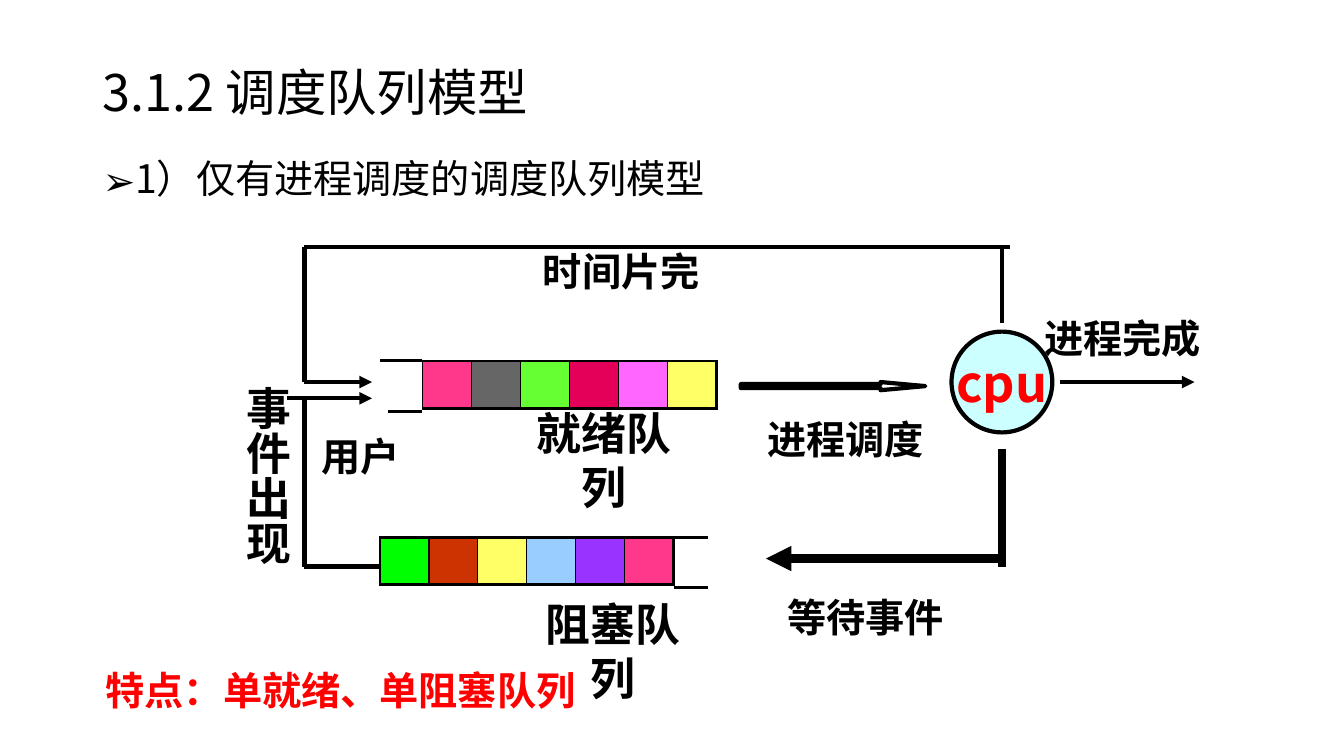
from dataclasses import dataclass

from lxml.etree import SubElement
from pptx import Presentation
from pptx.dml.color import RGBColor
from pptx.enum.shapes import MSO_CONNECTOR, MSO_SHAPE
from pptx.enum.text import MSO_ANCHOR, PP_ALIGN
from pptx.oxml.ns import qn
from pptx.shapes.autoshape import Shape
from pptx.slide import Slide
from pptx.table import _Cell as Cell
from pptx.text.text import TextFrame
from pptx.util import Pt

FONT = "Noto Sans CJK SC"
BLACK = RGBColor(0x00, 0x00, 0x00)
WHITE = RGBColor(0xFF, 0xFF, 0xFF)
RED = RGBColor(0xFF, 0x00, 0x00)
PALE_CYAN = RGBColor(0xCC, 0xFF, 0xFF)
PINK = RGBColor(0xFF, 0x38, 0x8C)
GREY = RGBColor(0x66, 0x66, 0x66)
LIME = RGBColor(0x66, 0xFF, 0x33)
CRIMSON = RGBColor(0xE4, 0x00, 0x59)
ORCHID = RGBColor(0xFF, 0x66, 0xFF)
YELLOW = RGBColor(0xFF, 0xFF, 0x66)
GREEN = RGBColor(0x00, 0xFF, 0x00)
RUST = RGBColor(0xCC, 0x33, 0x00)
SKY = RGBColor(0x99, 0xCC, 0xFF)
VIOLET = RGBColor(0x99, 0x33, 0xFF)

SLOT_WIDTH, SLOT_HEIGHT = 35, 33.8
RAIL_GAP = 36
CPU_X, CPU_Y = 715.7, 272.9
LOOP_X, LOOP_TOP = 217.5, 176.5
ENTRY_X, EVENT_Y = 265.7, 284.5
BLOCKED_Y, WAIT_Y = 404.7, 399


@dataclass(frozen=True)
class Label:
    text: str
    left: float
    top: float
    width: float
    height: float
    size: float = 28
    color: RGBColor = BLACK
    bold: bool = True
    align: PP_ALIGN = PP_ALIGN.CENTER
    anchor: MSO_ANCHOR = MSO_ANCHOR.TOP
    wrap: bool = False
    vertical: bool = False
    bullet: str = ""
    spacing: float = 1.0


@dataclass(frozen=True)
class Link:
    x1: float
    y1: float
    x2: float
    y2: float
    weight: float = 3
    arrow: bool = False


@dataclass(frozen=True)
class Queue:
    left: float
    top: float
    slots: tuple[RGBColor, ...]
    open_x: float
    upper_end: float
    lower_end: float


LABELS = [
    Label("3.1.2 调度队列模型", 66.2, 32.4, 828, 71.3, 36, bold=False,
          align=PP_ALIGN.LEFT, anchor=MSO_ANCHOR.MIDDLE, wrap=True, spacing=0.9),
    Label("1）仅有进程调度的调度队列模型", 66.2, 90, 828, 70, bold=False,
          align=PP_ALIGN.LEFT, wrap=True, bullet="➢", spacing=1.5),
    Label("就绪队列", 367.6, 290, 128, 39, 32, wrap=True),
    Label("阻塞队列", 374, 426.2, 128, 39, 32, wrap=True),
    Label("进程调度", 547.7, 296.6, 112.3, 33.8),
    Label("等待事件", 545, 424.1, 146.2, 33.8, wrap=True),
    Label("时间片完", 381.4, 176.4, 124.6, 33.8, wrap=True),
    Label("进程完成", 745.7, 224.6, 112.3, 33.8),
    Label("用户", 229.7, 308.9, 56.2, 33.8),
    Label("事件出现", 171.4, 275.8, 38.9, 131, 32, wrap=True, vertical=True),
    Label("特点：单就绪、单阻塞队列", 68.4, 472.3, 360, 41, color=RED,
          align=PP_ALIGN.LEFT),
]

QUEUES = [
    Queue(301.7, 257.8, (PINK, GREY, LIME, CRIMSON, ORCHID, YELLOW), 301.7, 271.4, 277.2),
    Queue(271.4, 383.8, (GREEN, RUST, YELLOW, SKY, VIOLET, PINK), 481.7, 505.5, 505.5),
]

LINKS = [
    Link(CPU_X, 320.4, CPU_X, BLOCKED_Y, 6),
    Link(CPU_X, WAIT_Y, 547.2, WAIT_Y, 6, True),
    Link(CPU_X, 230.4, CPU_X, LOOP_TOP),
    Link(721.5, LOOP_TOP, LOOP_X, LOOP_TOP),
    Link(LOOP_X, LOOP_TOP, LOOP_X, CPU_Y),
    Link(LOOP_X, CPU_Y, ENTRY_X, CPU_Y, arrow=True),
    Link(205.2, EVENT_Y, ENTRY_X, EVENT_Y, arrow=True),
    Link(271.4, BLOCKED_Y, LOOP_X, BLOCKED_Y),
    Link(LOOP_X, EVENT_Y, LOOP_X, BLOCKED_Y),
    Link(757.5, CPU_Y, 853.2, CPU_Y, arrow=True),
]


def write_text(frame: TextFrame, label: Label) -> None:
    frame.word_wrap = label.wrap
    frame.vertical_anchor = label.anchor
    paragraph = frame.paragraphs[0]
    paragraph.text = label.text
    paragraph.alignment = label.align
    paragraph.line_spacing = label.spacing
    if label.bullet:
        properties = paragraph._p.get_or_add_pPr()
        properties.set("marL", str(Pt(18)))
        properties.set("indent", str(Pt(-18)))
        SubElement(properties, qn("a:buFont"), typeface=FONT)
        SubElement(properties, qn("a:buChar"), char=label.bullet)
    for run in paragraph.runs:
        run.font.size = Pt(label.size)
        run.font.bold = label.bold
        run.font.color.rgb = label.color
        run.font.name = FONT
        SubElement(run.font._element, qn("a:ea"), typeface=FONT)


def clear_margins(holder: TextFrame | Cell) -> None:
    holder.margin_left = holder.margin_right = 0
    holder.margin_top = holder.margin_bottom = 0


def add_label(slide: Slide, label: Label) -> None:
    box = slide.shapes.add_textbox(
        Pt(label.left), Pt(label.top), Pt(label.width), Pt(label.height))
    if label.align == PP_ALIGN.CENTER:
        clear_margins(box.text_frame)
    write_text(box.text_frame, label)
    if label.vertical:
        box.element.txBody.bodyPr.set("vert", "eaVert")


def add_link(slide: Slide, link: Link) -> None:
    line = slide.shapes.add_connector(
        MSO_CONNECTOR.STRAIGHT, Pt(link.x1), Pt(link.y1), Pt(link.x2), Pt(link.y2))
    line.line.color.rgb = BLACK
    line.line.width = Pt(link.weight)
    if link.arrow:
        SubElement(line.line._get_or_add_ln(), qn("a:tailEnd"), type="triangle")
    SubElement(line.element.spPr, qn("a:effectLst"))


def style_slot(cell: Cell, color: RGBColor, is_last: bool) -> None:
    clear_margins(cell)
    properties = cell._tc.get_or_add_tcPr()
    weights = {"a:lnL": 1, "a:lnR": 2.25 if is_last else 1, "a:lnT": 2.25, "a:lnB": 2.25}
    for side, weight in weights.items():
        border = SubElement(properties, qn(side), w=str(Pt(weight)))
        SubElement(SubElement(border, qn("a:solidFill")), qn("a:srgbClr"), val=str(BLACK))
    cell.fill.solid()
    cell.fill.fore_color.rgb = color


def add_queue(slide: Slide, queue: Queue) -> None:
    count = len(queue.slots)
    table = slide.shapes.add_table(
        1, count, Pt(queue.left), Pt(queue.top),
        Pt(SLOT_WIDTH * count), Pt(SLOT_HEIGHT)).table
    table.first_row = table.horz_banding = False
    for index, color in enumerate(queue.slots):
        table.columns[index].width = Pt(SLOT_WIDTH)
        style_slot(table.cell(0, index), color, index == count - 1)
    lower = queue.top + RAIL_GAP
    add_link(slide, Link(queue.open_x, queue.top, queue.upper_end, queue.top, 2))
    add_link(slide, Link(queue.open_x, lower, queue.lower_end, lower, 2))


def add_outlined(slide: Slide, kind: MSO_SHAPE, left: float, top: float,
                 width: float, height: float, fill: RGBColor) -> Shape:
    shape = slide.shapes.add_shape(kind, Pt(left), Pt(top), Pt(width), Pt(height))
    shape.shadow.inherit = False
    shape.fill.solid()
    shape.fill.fore_color.rgb = fill
    shape.line.color.rgb = BLACK
    shape.line.width = Pt(3)
    return shape


def main() -> None:
    deck = Presentation()
    deck.slide_width, deck.slide_height = Pt(960), Pt(540)
    slide = deck.slides.add_slide(deck.slide_layouts[6])
    for queue in QUEUES:
        add_queue(slide, queue)
    cpu = add_outlined(slide, MSO_SHAPE.OVAL, 679.7, 236.9, 72, 72, PALE_CYAN)
    clear_margins(cpu.text_frame)
    write_text(cpu.text_frame, Label("cpu", 0, 0, 0, 0, 36, RED, anchor=MSO_ANCHOR.MIDDLE))
    dispatch = add_outlined(slide, MSO_SHAPE.RIGHT_ARROW, 529.2, 272.9, 131.8, 5.8, WHITE)
    dispatch.adjustments[0], dispatch.adjustments[1] = 0.5, 5.5
    for link in LINKS:
        add_link(slide, link)
    for label in LABELS:
        add_label(slide, label)
    deck.save("out.pptx")


if __name__ == "__main__":
    main()
